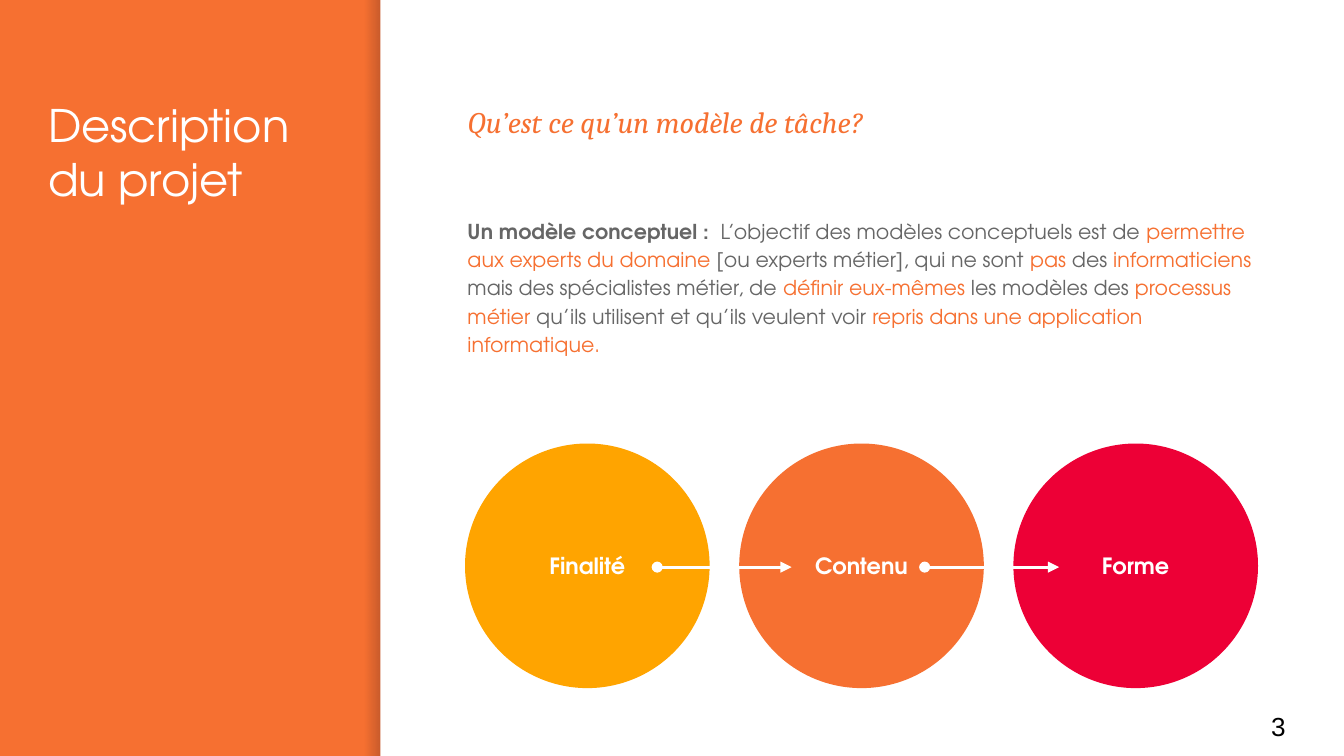
from lxml import etree
from pptx import Presentation, util as u
from pptx.dml.color import RGBColor
from pptx.enum import shapes, text
from pptx.oxml.ns import qn

THEME = {
    "orange": "F67031", "amber": "FFA400", "red": "ED0036",
    "white": "FFFFFF", "grey": "666666", "black": "000000", "shade": "000014",
    "sans": "TeX Gyre Adventor", "serif": "Cambria", "number": "Arial",
    "title": 24, "question": 16, "body": 11, "label": 12, "page": 14,
}


def color(name):
    return RGBColor.from_string(THEME[name])


def write(shape, runs, spacing=None, after=None, align=None, anchor=text.MSO_ANCHOR.TOP):
    """Fill one paragraph; each run is (words, font, size, colour, extra format)."""
    frame = shape.text_frame
    frame_format = {"word_wrap": True, "vertical_anchor": anchor}
    for side in ("left", "right", "top", "bottom"):
        frame_format["margin_" + side] = u.Inches(0.1)
    for key, value in frame_format.items():
        setattr(frame, key, value)
    paragraph = frame.paragraphs[0]
    for key, value in {"line_spacing": spacing, "space_after": after, "alignment": align}.items():
        if value is not None:
            setattr(paragraph, key, value)
    for words, family, size, ink, extra in runs:
        run = paragraph.add_run()
        run.text = words
        run.font.color.rgb = color(ink)
        for key, value in {"name": THEME[family], "size": u.Pt(THEME[size]), **extra}.items():
            setattr(run.font, key, value)


# Widescreen slide, 16 to 9
presentation = Presentation()
presentation.slide_width = u.Inches(10)
presentation.slide_height = presentation.slide_width * 9 // 16
slide = presentation.slides.add_slide(presentation.slide_layouts[6])
height = presentation.slide_height

# Orange background, white panel and the soft shadow along its edge
slide.background.fill.solid()
slide.background.fill.fore_color.rgb = color("orange")
panel_left, shade_width = u.Inches(2.83), u.Inches(0.12)
shade = slide.shapes.add_shape(shapes.MSO_SHAPE.RECTANGLE, panel_left - shade_width, 0, shade_width, height)
panel = slide.shapes.add_shape(shapes.MSO_SHAPE.RECTANGLE, panel_left, 0,
                               presentation.slide_width - panel_left, height)
for shape in (shade, panel):
    shape.shadow.inherit = False
    shape.line.fill.background()
panel.fill.solid()
panel.fill.fore_color.rgb = color("white")
shade.fill.gradient()
shade.fill.gradient_angle = 0
for stop in shade.fill.gradient_stops:
    stop.color.rgb = color("shade")
for ink, alpha in zip(shade._element.spPr.iter(qn("a:srgbClr")), (0, 20000)):
    etree.SubElement(ink, qn("a:alpha")).set("val", str(alpha))

# Texts: odd parts of the definition are highlighted
definition = (
    " L’objectif des modèles conceptuels est de |permettre aux experts du domaine"
    "| [ou experts métier], qui ne sont |pas| des |informaticiens"
    "| mais des spécialistes métier, de |définir eux-mêmes| les modèles des |processus métier"
    "| qu’ils utilisent et qu’ils veulent voir| repris dans une application informatique."
).split("|")
definition_runs = [("Un modèle conceptuel : ", "sans", "body", "grey", {"bold": True})]
for index, words in enumerate(definition):
    definition_runs.append((words, "sans", "body", ("grey", "orange")[index % 2], {}))

texts = [
    ((0.26, 0.63, 2.24, 4.35), [("Description du projet", "sans", "title", "white", {})], {}),
    ((3.38, 0.63, 6.12, 1.32),
     [("Qu’est ce qu’un modèle de tâche?", "serif", "question", "orange", {"italic": True})],
     {"spacing": 1.15}),
    ((3.38, 1.5, 6.12, 2.79), definition_runs, {"spacing": 1.15, "after": u.Pt(10)}),
    ((9.36, 5.19, 0.6, 0.43), [("3", "number", "page", "black", {})],
     {"anchor": text.MSO_ANCHOR.MIDDLE}),
]
for box, runs, layout in texts:
    write(slide.shapes.add_textbox(*map(u.Inches, box)), runs, **layout)

# Row of three circles
first_left, top, diameter, pitch = 3.46, 3.3, 1.82, 2.04
for column, (label, fill) in enumerate([("Finalité", "amber"), ("Contenu", "orange"), ("Forme", "red")]):
    circle = slide.shapes.add_shape(
        shapes.MSO_SHAPE.OVAL,
        *map(u.Inches, (first_left + column * pitch, top, diameter, diameter)))
    circle.shadow.inherit = False
    circle.fill.solid()
    circle.fill.fore_color.rgb = color(fill)
    circle.line.fill.background()
    write(circle, [(label, "sans", "label", "white", {"bold": True})],
          align=text.PP_ALIGN.CENTER, anchor=text.MSO_ANCHOR.MIDDLE)

# Arrows from one circle to the next
arrow_y, arrow_length = 4.22, 1
for start in (4.89, 6.88):
    arrow = slide.shapes.add_connector(
        shapes.MSO_CONNECTOR.STRAIGHT,
        *map(u.Inches, (start, arrow_y, start + arrow_length, arrow_y)))
    arrow.line.color.rgb = color("white")
    arrow.line.width = u.Pt(1.5)
    line = arrow.line._get_or_add_ln()
    for end, kind in (("a:headEnd", "oval"), ("a:tailEnd", "triangle")):
        etree.SubElement(line, qn(end)).set("type", kind)
    etree.SubElement(arrow._element.spPr, qn("a:effectLst"))

presentation.save("out.pptx")
